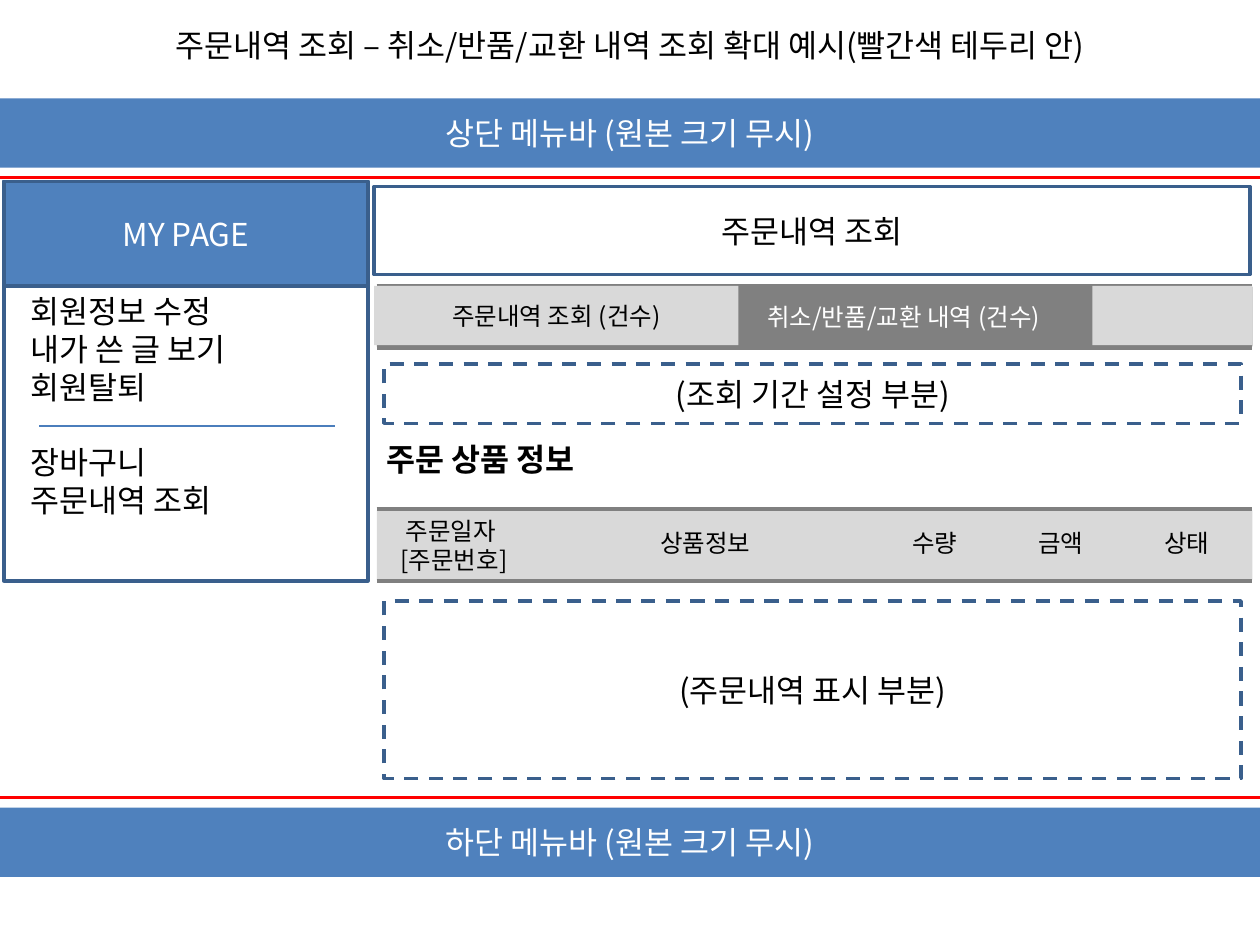
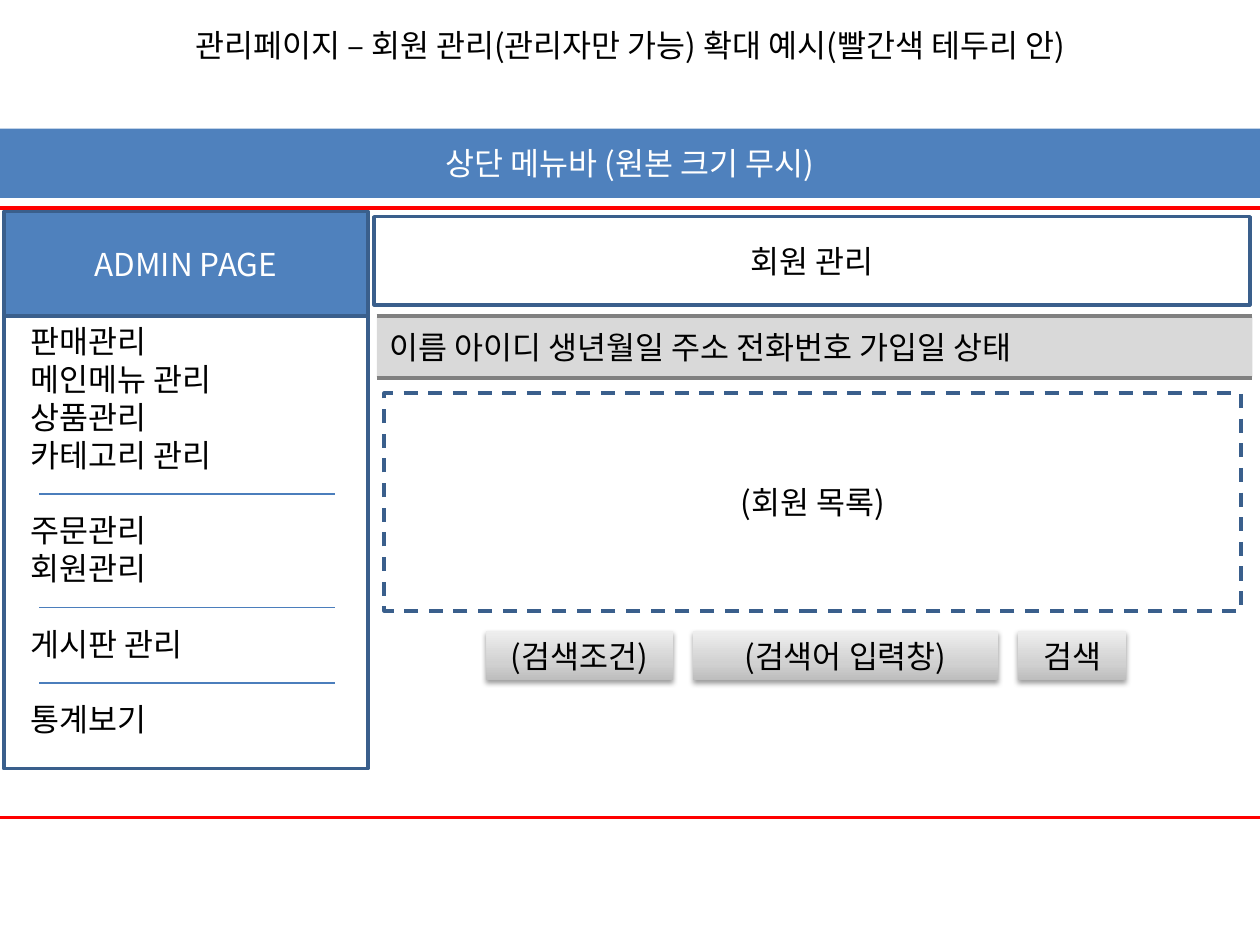
"""Build two wireframe slides for an online shop: order history and member administration."""
import lxml.etree
import pptx
import pptx.dml.color
import pptx.enum.dml
import pptx.enum.shapes
import pptx.enum.text
import pptx.oxml
import pptx.oxml.ns
import pptx.util

FONT = "Noto Sans CJK KR"
BLUE, NAVY, RULE, RED = "4F81BD", "3A5F8C", "4B7EBC", "FF0000"
GRAY, LIGHT, BLACK, WHITE = "808080", "D9D9D9", "000000", "FFFFFF"
BUTTON_STOPS = [(0, "BDBDBD"), (35, "D1D1D1"), (100, "EEEEEE")]
LEFT, CENTER, JUSTIFY = (
    pptx.enum.text.PP_ALIGN.LEFT,
    pptx.enum.text.PP_ALIGN.CENTER,
    pptx.enum.text.PP_ALIGN.JUSTIFY,
)
RECTANGLE = pptx.enum.shapes.MSO_SHAPE.RECTANGLE

ORDERS = {
    "title": "주문내역 조회 – 취소/반품/교환 내역 조회 확대 예시(빨간색 테두리 안)",
    "bar_top": 0.78,
    "frame_height": 4.92,
    "side_title": "MY PAGE",
    "side_height": 3.17,
    "menu": [
        ["회원정보 수정", "내가 쓴 글 보기", "회원탈퇴"],
        ["장바구니", "주문내역 조회"],
    ],
    "heading": "주문내역 조회",
}
MEMBERS = {
    "title": "관리페이지 – 회원 관리(관리자만 가능) 확대 예시(빨간색 테두리 안)",
    "bar_top": 1.02,
    "frame_height": 4.84,
    "side_title": "ADMIN PAGE",
    "side_height": 4.42,
    "menu": [
        ["판매관리", "메인메뉴 관리", "상품관리", "카테고리 관리"],
        ["주문관리", "회원관리"],
        ["게시판 관리"],
        ["통계보기"],
    ],
    "heading": "회원 관리",
}
TOP_MENU = "상단 메뉴바 (원본 크기 무시)"
BOTTOM_MENU = "하단 메뉴바 (원본 크기 무시)"
TABS = ["주문내역 조회 (건수)", "취소/반품/교환 내역 (건수)"]
SECTION = "주문 상품 정보"
ORDER_KEYS = [("주문일자", 0.13), ("[주문번호]", 0.09)]
ORDER_COLUMNS = ["상품정보", "수량", "금액", "상태"]
PERIOD_AREA, ORDER_AREA, MEMBER_AREA = "(조회 기간 설정 부분)", "(주문내역 표시 부분)", "(회원 목록)"
MEMBER_COLUMNS = "이름 아이디 생년월일 주소 전화번호 가입일 상태"
SEARCH = [("(검색조건)", 1.48), ("(검색어 입력창)", 2.42), ("검색", 0.86)]

WIDTH, HEIGHT = 10, 7.5
BAR_HEIGHT = 0.55
SIDE_LEFT, SIDE_WIDTH, SIDE_HEAD = 0.03, 2.89, 0.83
MAIN_LEFT, MAIN_WIDTH = 2.97, 6.95
BAND_LEFT, BAND_HEIGHT = 2.99, 0.47
AREA_LEFT, AREA_WIDTH = 3.05, 6.8
LINE_HEIGHT, BUTTON_GAP = 0.3, 0.16

inches = pptx.util.Inches


def color(value):
    """Turn a hex string into a colour."""
    return pptx.dml.color.RGBColor.from_string(value)


def write(shape, lines, size=18, fill=BLACK, align=CENTER, bold=False, middle=True):
    """Write lines of (text, indent, space before) into a shape."""
    frame = shape.text_frame
    frame.word_wrap = True
    anchor = pptx.enum.text.MSO_ANCHOR
    frame.vertical_anchor = anchor.MIDDLE if middle else anchor.TOP
    for index, (text, indent, before) in enumerate(lines):
        paragraph = frame.add_paragraph() if index else frame.paragraphs[0]
        paragraph.alignment = align
        paragraph.space_before = inches(before)
        if indent:
            properties = paragraph._p.get_or_add_pPr()
            properties.set("marL", str(inches(indent)))
            properties.set("indent", "0")
        run = paragraph.add_run()
        run.text = text
        run.font.size = pptx.util.Pt(size)
        run.font.bold = bold
        run.font.color.rgb = color(fill)
        run.font.name = FONT
        east_asian = lxml.etree.SubElement(run._r.rPr, pptx.oxml.ns.qn("a:ea"))
        east_asian.set("typeface", FONT)


def box(slide, place, fill=None, line=None, dashed=False):
    """Add a plain rectangle."""
    shape = slide.shapes.add_shape(RECTANGLE, *map(inches, place))
    shape.shadow.inherit = False
    if fill:
        shape.fill.solid()
        shape.fill.fore_color.rgb = color(fill)
    else:
        shape.fill.background()
    if line:
        shape.line.color.rgb = color(line)
        shape.line.width = pptx.util.Pt(2)
    else:
        shape.line.fill.background()
    if dashed:
        shape.line.dash_style = pptx.enum.dml.MSO_LINE.DASH
    return shape


def label(slide, place, lines, **style):
    """Add a text box that grows with its text."""
    shape = slide.shapes.add_textbox(*map(inches, place))
    write(shape, lines, align=LEFT, middle=False, **style)
    shape.text_frame.auto_size = pptx.enum.text.MSO_AUTO_SIZE.SHAPE_TO_FIT_TEXT
    return shape


def rule(slide, left, right, top, line, width):
    """Add a horizontal line."""
    connector = slide.shapes.add_connector(
        pptx.enum.shapes.MSO_CONNECTOR.STRAIGHT, *map(inches, (left, top, right, top))
    )
    connector.line.color.rgb = color(line)
    connector.line.width = pptx.util.Pt(width)
    lxml.etree.SubElement(connector._element.spPr, pptx.oxml.ns.qn("a:effectLst"))


def menu_bar(slide, top, text):
    """Add a blue bar across the slide."""
    write(box(slide, (0, top, WIDTH, BAR_HEIGHT), BLUE), [(text, 0, 0)], fill=WHITE)


def band(slide, top, height, fill):
    """Add a filled band between two gray rules."""
    shape = box(slide, (BAND_LEFT, top, MAIN_WIDTH, height), fill)
    for edge in (top - 0.01, top + height + 0.01):
        rule(slide, BAND_LEFT, BAND_LEFT + MAIN_WIDTH, edge, GRAY, 2.25)
    return shape


def area(slide, top, height, text):
    """Add a dashed placeholder area."""
    shape = box(slide, (AREA_LEFT, top, AREA_WIDTH, height), line=NAVY, dashed=True)
    write(shape, [(text, 0, 0)])


def side_menu(slide, page, top):
    """Add the side column with its grouped menu."""
    head = box(slide, (SIDE_LEFT, top, SIDE_WIDTH, SIDE_HEAD), BLUE, NAVY)
    write(head, [(page["side_title"], 0, 0)], fill=WHITE)
    text_top = top + SIDE_HEAD
    lines, rules, row = [], [], 0
    for group in page["menu"]:
        if row:
            rules.append(text_top + 0.06 + (row + 0.5) * LINE_HEIGHT)
            row += 1
        for index, item in enumerate(group):
            lines.append((item, 0.14, LINE_HEIGHT if lines and not index else 0))
        row += len(group)
    label(slide, (0, text_top, 3.05, row * LINE_HEIGHT + 0.12), lines)
    box(slide, (SIDE_LEFT, top, SIDE_WIDTH, page["side_height"]), line=NAVY)
    for rule_top in rules:
        rule(slide, 0.31, 2.66, rule_top, RULE, 0.75)


def add_page(presentation, page):
    """Add a slide with the parts that both pages share."""
    slide = presentation.slides.add_slide(presentation.slide_layouts[5])
    title = slide.shapes.title
    title.left, title.top, title.width, title.height = map(inches, (0, 0.16, WIDTH, 0.4))
    write(title, [(page["title"], 0, 0)], middle=False)
    title.text_frame.auto_size = pptx.enum.text.MSO_AUTO_SIZE.SHAPE_TO_FIT_TEXT
    top = page["bar_top"]
    menu_bar(slide, top, TOP_MENU)
    box(slide, (-0.23, top + 0.63, WIDTH + 0.47, page["frame_height"]), line=RED)
    side_menu(slide, page, top + 0.66)
    heading = box(slide, (MAIN_LEFT, top + 0.7, MAIN_WIDTH, 0.7), line=NAVY)
    write(heading, [(page["heading"], 0, 0)])
    return slide


def button(slide, place, text):
    """Add a gray gradient button with a soft shadow."""
    shape = box(slide, place, LIGHT)
    stops = "".join(
        f'<a:gs pos="{share * 1000}"><a:srgbClr val="{value}"/></a:gs>'
        for share, value in BUTTON_STOPS
    )
    namespace = pptx.oxml.ns.nsdecls("a")
    gradient = pptx.oxml.parse_xml(
        f'<a:gradFill {namespace} rotWithShape="1"><a:gsLst>{stops}</a:gsLst>'
        '<a:lin ang="16200000" scaled="0"/></a:gradFill>'
    )
    shadow = pptx.oxml.parse_xml(
        f'<a:outerShdw {namespace} blurRad="{pptx.util.Pt(3.1)}" dist="{pptx.util.Pt(1.6)}" '
        f'dir="5400000" rotWithShape="0"><a:srgbClr val="{BLACK}">'
        '<a:alpha val="38000"/></a:srgbClr></a:outerShdw>'
    )
    properties = shape._element.spPr
    properties.replace(properties.find(pptx.oxml.ns.qn("a:solidFill")), gradient)
    properties.find(pptx.oxml.ns.qn("a:effectLst")).append(shadow)
    write(shape, [(text, 0, 0)])


def add_orders(presentation):
    """Add the order history slide."""
    slide = add_page(presentation, ORDERS)
    menu_bar(slide, 6.41, BOTTOM_MENU)
    tabs = band(slide, 2.28, BAND_HEIGHT, GRAY)
    write(tabs, [(TABS[1], 3, 0)], size=14, fill=WHITE, align=LEFT)
    area(slide, 2.89, BAND_HEIGHT, PERIOD_AREA)
    first_tab = box(slide, (MAIN_LEFT, 2.27, SIDE_WIDTH, BAND_HEIGHT), LIGHT)
    write(first_tab, [(TABS[0], 0, 0)], size=14)
    keys = band(slide, 4.05, BAR_HEIGHT, LIGHT)
    write(keys, [(text, indent, 0) for text, indent in ORDER_KEYS], size=14, align=LEFT)
    label(slide, (MAIN_LEFT, 3.44, 2.27, 0.4), [(SECTION, 0, 0)], bold=True)
    columns = label(slide, (4.14, 4.14, 5.7, 0.34), [("\t".join(ORDER_COLUMNS), 0, 0)], size=14)
    columns.text_frame.margin_left = inches(1.1)
    properties = columns.text_frame.paragraphs[0]._p.get_or_add_pPr()
    tab_list = lxml.etree.SubElement(properties, pptx.oxml.ns.qn("a:tabLst"))
    for position in (2, 3, 4):
        tab = lxml.etree.SubElement(tab_list, pptx.oxml.ns.qn("a:tab"))
        tab.set("pos", str(inches(position)))
        tab.set("algn", "l")
    area(slide, 4.77, 1.41, ORDER_AREA)
    box(slide, (8.67, 2.27, 1.27, BAND_HEIGHT), LIGHT)


def add_members(presentation):
    """Add the member administration slide."""
    slide = add_page(presentation, MEMBERS)
    header = band(slide, 2.52, BAND_HEIGHT, LIGHT)
    write(header, [(MEMBER_COLUMNS, 0, 0)], align=JUSTIFY)
    left = 3.86
    for text, width in SEARCH:
        button(slide, (left, 5.01, width, 0.39), text)
        left += width + BUTTON_GAP
    area(slide, 3.12, 1.73, MEMBER_AREA)


presentation = pptx.Presentation()
presentation.slide_width, presentation.slide_height = inches(WIDTH), inches(HEIGHT)
add_orders(presentation)
add_members(presentation)
presentation.save("out.pptx")
